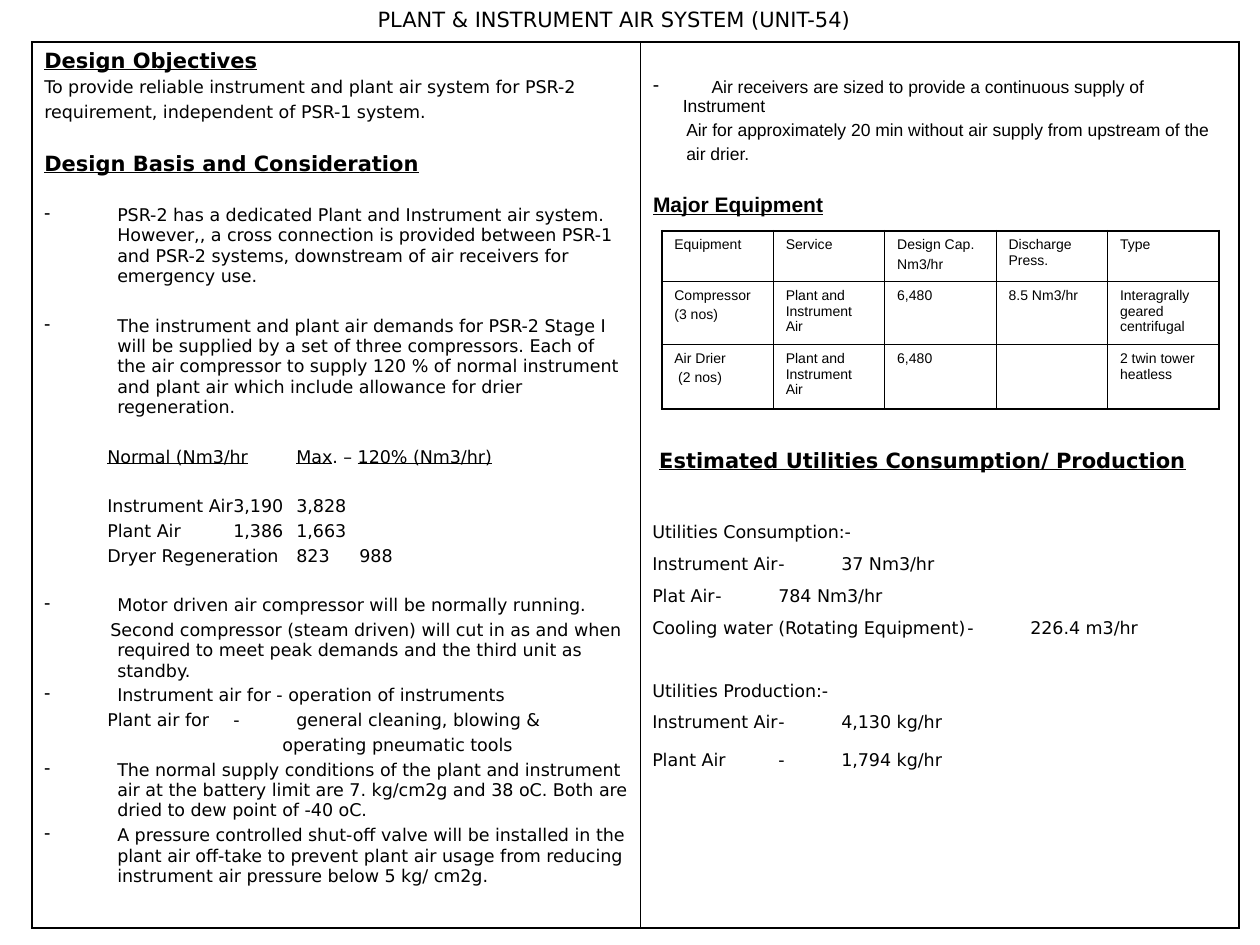
from dataclasses import dataclass, field
from lxml.etree import SubElement
from pptx import Presentation
from pptx.dml.color import RGBColor
from pptx.enum.text import MSO_ANCHOR, MSO_AUTO_SIZE, PP_ALIGN
from pptx.oxml.ns import qn
from pptx.util import Cm, Pt


@dataclass
class Theme:
    """Colours, fonts, type sizes and spacing."""
    ink: RGBColor = field(default_factory=lambda: RGBColor(0, 0, 0))
    main: str = "DejaVu Sans"
    alt: str = "Arial"
    head: float = 12
    body: float = 10
    small: float = 8
    tight: float = 2.5
    loose: float = 6.2
    gap: float = 16.6
    outer: float = 1.08
    inner: float = 0.45


T = Theme()


@dataclass
class Para:
    """One paragraph; a tuple of parts alternates plain and underlined runs."""
    text: str | tuple
    before: float = T.tight
    left: float = 0
    first: float = 0
    tabs: tuple = ()
    bullet: bool = False
    heading: bool = False
    font: str = T.main
    size: float = T.body


class Deck:
    """Holds the theme and the current slide and adds elements to it."""

    def __init__(self, theme):
        self.t = theme
        self.prs = Presentation()
        self.prs.slide_width, self.prs.slide_height = Cm(25.4), Cm(19.05)
        self.s = self.prs.slides.add_slide(self.prs.slide_layouts[5])

    def paragraphs(self, tf, paras):
        """Fill a text frame with formatted paragraphs."""
        for i, item in enumerate(paras):
            p = tf.add_paragraph() if i else tf.paragraphs[0]
            p.space_before = Pt(item.before if i else 0)
            pPr = p._p.get_or_add_pPr()
            pPr.set("marL", str(Cm(item.left)))
            pPr.set("indent", str(Cm(item.first)))
            if item.bullet:
                SubElement(pPr, qn("a:buChar")).set("char", "-")
            if item.tabs:
                tabs = SubElement(pPr, qn("a:tabLst"))
                for pos, align in item.tabs:
                    tab = SubElement(tabs, qn("a:tab"))
                    tab.set("pos", str(Cm(pos)))
                    tab.set("algn", align)
            if isinstance(item.text, tuple):
                for part in item.text:
                    p.add_run().text = part
            else:
                p.text = item.text
            for n, r in enumerate(p.runs):
                f = r.font
                f.name, f.size, f.bold = item.font, Pt(item.size), item.heading
                f.underline = item.heading or n % 2 == 1
                f.color.rgb = self.t.ink

    def frame(self, sp, box, paras):
        """Place a text shape and fill it."""
        sp.left, sp.top, sp.width, sp.height = map(Cm, box)
        tf = sp.text_frame
        tf.word_wrap = True
        tf.vertical_anchor = MSO_ANCHOR.TOP
        tf.auto_size = MSO_AUTO_SIZE.SHAPE_TO_FIT_TEXT
        self.paragraphs(tf, paras)

    def title(self, text, box):
        """Move and format the title placeholder."""
        sp = self.s.shapes.title
        self.frame(sp, box, [Para(text, size=self.t.head)])
        sp.text_frame.paragraphs[0].alignment = PP_ALIGN.CENTER

    def text(self, box, paras):
        """Add a text box."""
        self.frame(self.s.shapes.add_textbox(0, 0, 0, 0), box, paras)

    def table(self, left, top, cols, rows, cells):
        """Add a ruled table with a heavier outer border."""
        size = map(Cm, (left, top, sum(cols), sum(rows)))
        tbl = self.s.shapes.add_table(len(rows), len(cols), *size).table
        tbl.first_row = tbl.horz_banding = False
        for col, width in zip(tbl.columns, cols):
            col.width = Cm(width)
        for y, height in enumerate(rows):
            tbl.rows[y].height = Cm(height)
            for x in range(len(cols)):
                cell = tbl.cell(y, x)
                self.paragraphs(cell.text_frame, cells[y][x])
                self.border(cell, {"L": x == 0, "R": x == len(cols) - 1,
                                   "T": y == 0, "B": y == len(rows) - 1})
                cell.fill.background()
        return tbl

    def border(self, cell, edges):
        """Draw the four cell borders."""
        tcPr = cell._tc.get_or_add_tcPr()
        for side, outside in edges.items():
            ln = SubElement(tcPr, qn(f"a:ln{side}"))
            ln.set("w", str(Pt(self.t.outer if outside else self.t.inner)))
            fill = SubElement(ln, qn("a:solidFill"))
            SubElement(fill, qn("a:srgbClr")).set("val", str(self.t.ink))


def stops(*positions, align="l"):
    """Return tab stops that share one alignment."""
    return tuple((pos, align) for pos in positions)


def heading(text, **kw):
    """Return an underlined bold heading."""
    return Para(text, heading=True, size=T.head, **kw)


def item(text, before=T.tight):
    """Return a dashed list item."""
    return Para(text, before, left=1.47, first=-1.47, bullet=True)


def demand(name, normal, peak, before=T.tight):
    """Return one row of the air demand figures."""
    return Para(f"\t{name}\t{normal}\t{peak}", before,
                tabs=stops(0.89) + stops(5.65, 9.56, align="r"))


def utility(name, value, dash, before=T.loose):
    """Return one utility figure with an aligned dash and value."""
    return Para(f"{name}\t-\t{value}", before, tabs=stops(dash, dash + 0.35))


def main():
    """Build the slide."""
    deck = Deck(T)
    deck.title("PLANT & INSTRUMENT AIR SYSTEM (UNIT-54)", (0.85, 0, 23.06, 0.76))

    design = [
        heading("Design Objectives"),
        Para("To provide reliable instrument and plant air system for PSR-2"),
        Para("requirement, independent of PSR-1 system."),
        heading("Design Basis and Consideration", before=T.gap),
        item("PSR-2 has a dedicated Plant and Instrument air system. However,, a cross connection is "
             "provided between PSR-1 and PSR-2 systems, downstream of air receivers for emergency use.", T.gap),
        item("The instrument and plant air demands for PSR-2 Stage I will be supplied by a set of three "
             "compressors. Each of the air compressor to supply 120 % of normal instrument and plant air "
             "which include allowance for drier regeneration.", T.gap),
        Para(("\t", "Normal (Nm3/hr\tMax", ". – ", "120% (Nm3/hr)"), T.gap, tabs=stops(3.57, 6.73)),
        demand("Instrument Air", "3,190", "3,828", T.gap),
        demand("Plant Air", "1,386", "1,663"),
        demand("Dryer Regeneration", "823", "988"),
        item("Motor driven air compressor will be normally running.", T.gap),
        Para("Second compressor (steam driven) will cut in as and when required to meet peak demands "
             "and the third unit as standby.", left=1.47, first=-0.14),
        item("Instrument air for - operation of instruments"),
        Para("\tPlant air for\t-\tgeneral cleaning, blowing &", tabs=stops(1.45, 4.5, 4.85)),
        Para("operating pneumatic tools", left=4.8),
        item("The normal supply conditions of the plant and instrument air at the battery limit are "
             "7. kg/cm2g and 38 oC. Both are dried to dew point of -40 oC."),
        item("A pressure controlled shut-off valve will be installed in the plant air off-take to prevent "
             "plant air usage from reducing instrument air pressure below 5 kg/ cm2g."),
    ]
    receivers = [
        Para("\tAir receivers are sized to provide a continuous supply of Instrument", left=0.6,
             first=-0.6, tabs=stops(0.58, 1.18), bullet=True, font=T.alt),
        Para("Air for approximately 20 min without air supply from upstream of the", left=0.67, font=T.alt),
        Para("air drier.", left=0.67, font=T.alt),
        heading("Major Equipment", before=T.gap, font=T.alt),
    ]
    panel = deck.table(0.64, 0.85, [12.27, 12.07], [17.86], [[design, receivers]])
    panel.cell(0, 1).margin_top = Cm(0.71)

    equipment = [
        ["Equipment", "Service", "Design Cap.|Nm3/hr", "Discharge Press.", "Type"],
        ["Compressor|(3 nos)", "Plant and Instrument Air", "6,480", "8.5 Nm3/hr",
         "Interagrally geared centrifugal"],
        ["Air Drier| (2 nos)", "Plant and Instrument Air", "6,480", "", "2 twin tower heatless"],
    ]
    cells = [[[Para(line, 2, font=T.alt, size=T.small) for line in text.split("|")]
              for text in row] for row in equipment]
    deck.table(13.34, 4.65, [11.23 / 5] * 5, [1.02, 1.27, 1.3], cells)

    deck.text((12.9, 8.89, 11.86, 6.83), [
        heading("Estimated Utilities Consumption/ Production", left=0.14),
        Para("Utilities Consumption:-", 27.7),
        utility("Instrument Air", "37 Nm3/hr", 3.5),
        utility("Plat Air", "784 Nm3/hr", 3.5),
        utility("Cooling water (Rotating Equipment)", "226.4 m3/hr", 6.53),
        Para("Utilities Production:-", 24),
        utility("Instrument Air", "4,130 kg/hr", 3.63),
        utility("Plant Air", "1,794 kg/hr", 3.63, 9.5),
    ])
    deck.prs.save("out.pptx")


if __name__ == "__main__":
    main()
